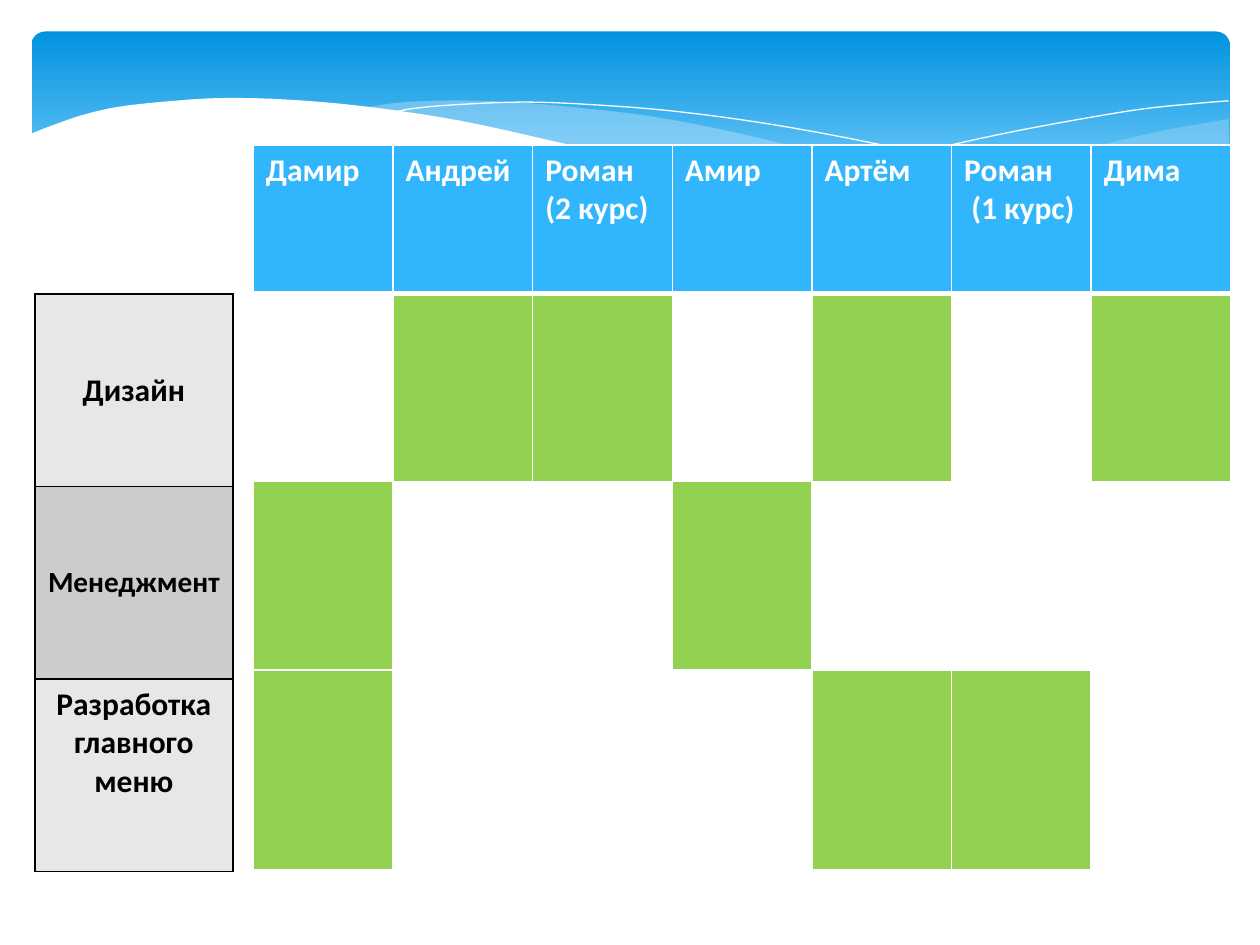
from dataclasses import dataclass
from typing import Optional

from lxml.etree import SubElement
from pptx import Presentation
from pptx.dml.color import RGBColor as RGB
from pptx.enum.shapes import MSO_SHAPE as Kind
from pptx.enum.text import MSO_ANCHOR as Anchor, PP_ALIGN as Align
from pptx.oxml.ns import qn
from pptx.util import Pt

WHITE = RGB(0xFF, 0xFF, 0xFF)
BLACK = RGB(0, 0, 0)
DEEP = RGB(0x02, 0x93, 0xE0)
SKY = RGB(0x83, 0xD3, 0xFE)
MIST = RGB(0xC6, 0xE7, 0xFC)
HEAD = RGB(0x31, 0xB6, 0xFD)
GREEN = RGB(0x92, 0xD0, 0x50)
PALE = RGB(0xE7, 0xE7, 0xE7)
GREY = RGB(0xCC, 0xCC, 0xCC)

STEPS = 4
FONT = {"name": "Calibri", "bold": True}
PLAIN = {"first_row": False, "horz_banding": False}
NAMES = ["Дамир", "Андрей", "Роман\v(2 курс)", "Амир", "Артём",
         "Роман\v (1 курс)", "Дима"]
# One row per task, one mark per person
MARKS = [".##.#.#", "#..#...", "#...##."]


@dataclass
class Wave:
    """Smooth edges, joined in order; a wave without fill is an open line."""
    edges: list
    fill: Optional[RGB] = None
    alpha: int = 100


@dataclass
class Box:
    text: str
    fill: RGB
    ink: RGB = BLACK
    size: float = 18
    align: Align = Align.LEFT
    anchor: Anchor = Anchor.TOP
    base: float = 1


WAVES = [
    Wave([[(702, 68), (663, 75), (620, 85), (580, 94), (542, 103), (508, 109),
           (476, 115)],
          [(476, 115), (498, 118), (527, 121), (562, 123.8), (593, 123.8),
           (621, 122.4), (652, 117.4), (678, 111), (702, 102)]], MIST, 29),
    Wave([[(643, 120), (603, 114.5), (558, 107), (508, 96.5), (453, 83.5),
           (410, 73.5), (370, 66.2), (335, 62), (302, 59), (274, 57.6),
           (248, 57.6), (225, 59), (206, 62)],
          [(206, 62), (246, 67.7), (291, 76.3), (323, 83.5), (382, 97),
           (433, 108), (479, 116), (520, 121), (557, 123.8), (589, 124.6),
           (617, 123), (643, 120)]], MIST, 40),
    Wave([[(222.5, 64.8), (236, 62), (261, 59.8), (299.5, 58.3), (338, 59.8),
           (384, 63.4), (438, 70.6), (500, 82), (572, 98), (653, 119.5)]]),
    Wave([[(441, 109), (470, 101.5), (500, 93.6), (538.5, 84), (580, 75),
           (623.5, 67), (655, 62), (685, 59), (702, 57.6)]]),
    Wave([[(703.5, 101.5), (677, 111), (647, 118), (612, 122.4), (571, 123),
           (523, 120), (466.5, 112.3), (400, 100), (322, 82), (263, 69),
           (210, 61), (165.6, 57), (127.5, 56), (95, 58), (68, 61),
           (48, 65.5), (29, 72), (16.5, 77)],
          [(16.5, 161), (703.5, 161)]], WHITE),
]


def smooth(edge: list) -> list:
    """Run a Catmull-Rom curve through the points of an edge."""
    if len(edge) < 3:
        return edge
    ext = [edge[0], *edge, edge[-1]]
    out = [edge[0]]
    for a, b, c, d in zip(ext, ext[1:], ext[2:], ext[3:]):
        for step in range(1, STEPS + 1):
            t = step / STEPS
            out.append(tuple(
                (2 * q + (r - p) * t + (2 * p - 5 * q + 4 * r - s) * t ** 2
                 + (3 * q - p - 3 * r + s) * t ** 3) / 2
                for p, q, r, s in zip(a, b, c, d)))
    return out


def draw_wave(slide, wave: Wave) -> None:
    dots = [(Pt(x), Pt(y)) for edge in wave.edges for x, y in smooth(edge)]
    pen = slide.shapes.build_freeform(*dots[0])
    pen.add_line_segments(dots[1:], close=wave.fill is not None)
    shape = pen.convert_to_shape()
    shape.shadow.inherit = False
    if wave.fill is None:
        shape.fill.background()
        shape.line.color.rgb = WHITE
        shape.line.width = Pt(0)
        return
    shape.line.fill.background()
    shape.fill.solid()
    shape.fill.fore_color.rgb = wave.fill
    if wave.alpha < 100:
        tint = shape.fill._xPr.find(qn("a:solidFill"))[0]
        SubElement(tint, qn("a:alpha"), val=str(wave.alpha * 1000))


def draw_banner(slide) -> None:
    shape = slide.shapes.add_shape(
        Kind.ROUNDED_RECTANGLE, Pt(18), Pt(18), Pt(684.7), Pt(112.3))
    shape.adjustments[0] = 0.07
    shape.shadow.inherit = False
    shape.line.fill.background()
    shape.fill.gradient()
    shape.fill.gradient_angle = 270
    for stop, tone, pos in zip(shape.fill.gradient_stops, (DEEP, SKY), (0, 0.9)):
        stop.color.rgb = tone
        stop.position = pos


def set_edges(cell, ink: RGB, widths: dict) -> None:
    props = cell._tc.get_or_add_tcPr()
    for side, width in widths.items():
        line = SubElement(props, qn(f"a:ln{side}"), w=str(Pt(width)))
        SubElement(SubElement(line, qn("a:solidFill")), qn("a:srgbClr"),
                   val=str(ink))


def fill_cell(cell, box: Box, ink: RGB, top: float) -> None:
    set_edges(cell, ink, {"L": 1, "R": 1, "T": top, "B": box.base})
    cell.fill.solid()
    cell.fill.fore_color.rgb = box.fill
    cell.vertical_anchor = box.anchor
    if not box.text:
        return
    cell.text_frame.text = box.text
    para = cell.text_frame.paragraphs[0]
    para.alignment = box.align
    for run in para.runs:
        for key, val in {**FONT, "size": Pt(box.size)}.items():
            setattr(run.font, key, val)
        run.font.color.rgb = box.ink


def draw_table(slide, left: float, top: float, width: float, highs: list,
               rows: list, ink: RGB) -> None:
    count = len(rows[0])
    table = slide.shapes.add_table(len(rows), count, Pt(left), Pt(top),
                                   Pt(width), Pt(sum(highs))).table
    for key, val in PLAIN.items():
        setattr(table, key, val)
    for col in table.columns:
        col.width = Pt(width / count)
    for i, (high, row) in enumerate(zip(highs, rows)):
        table.rows[i].height = Pt(high)
        for j, box in enumerate(row):
            above = rows[i - 1][j].base if i else 1
            fill_cell(table.cell(i, j), box, ink, above)


def main() -> None:
    deck = Presentation()
    deck.slide_width, deck.slide_height = Pt(720), Pt(540)
    slide = deck.slides.add_slide(deck.slide_layouts[6])
    draw_banner(slide)
    for wave in WAVES:
        draw_wave(slide, wave)

    heads = [Box(name, HEAD, WHITE, base=3) for name in NAMES]
    grid = [[Box("", GREEN if mark == "#" else WHITE) for mark in row]
            for row in MARKS]
    draw_table(slide, 144.8, 82.8, 558.6, [85, 107.5, 107.5, 114],
               [heads, *grid], WHITE)

    mid = {"align": Align.CENTER, "anchor": Anchor.MIDDLE}
    tasks = [Box("Дизайн", PALE, **mid),
             Box("Менеджмент", GREY, size=16.7, **mid),
             Box("Разработка главного меню", PALE, align=Align.CENTER)]
    draw_table(slide, 19.9, 168, 113.2, [110] * 3,
               [[task] for task in tasks], BLACK)
    deck.save("out.pptx")


if __name__ == "__main__":
    main()
